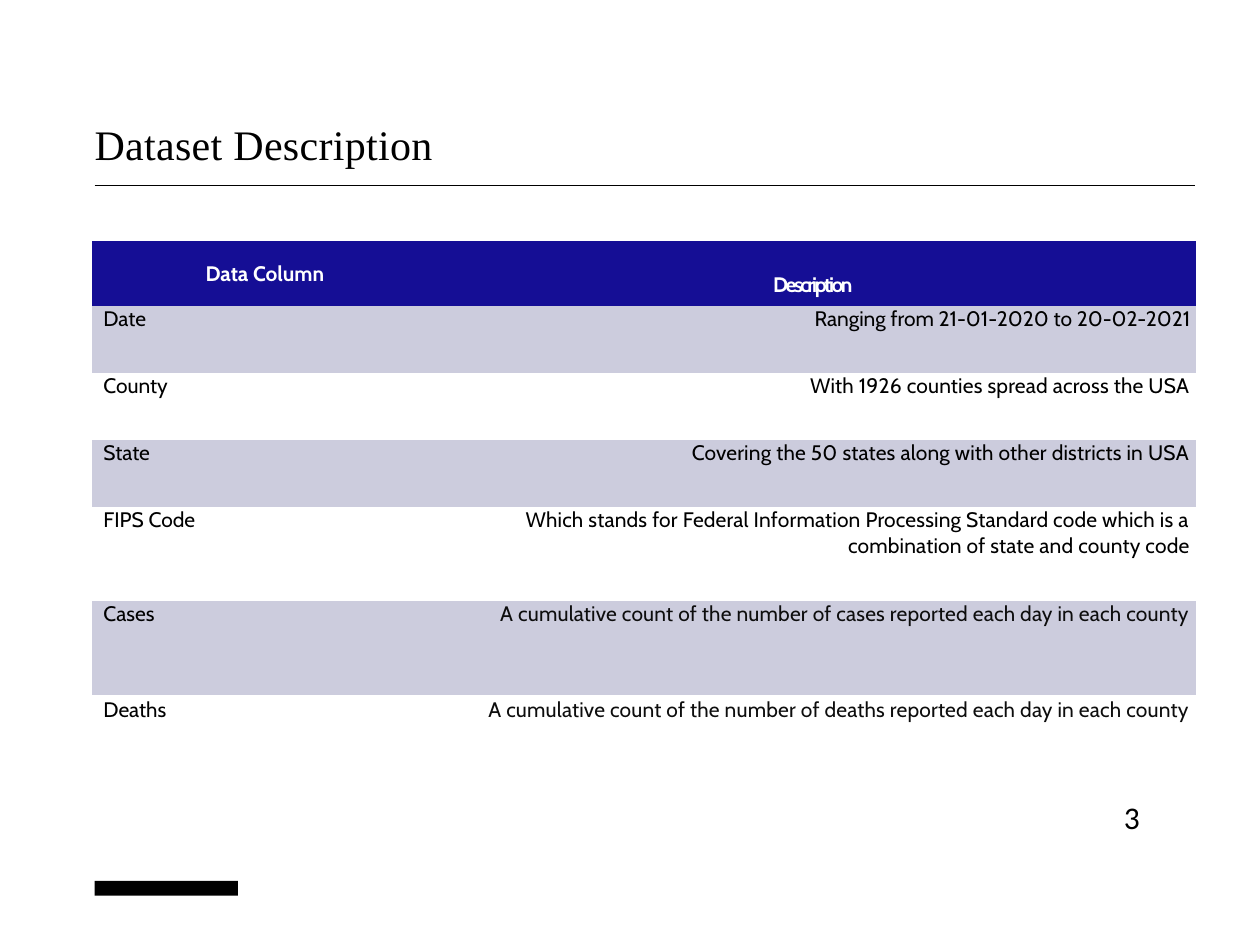
from dataclasses import dataclass, field

from lxml import etree
from pptx import Presentation
from pptx import util as u
from pptx.dml.color import RGBColor
from pptx.enum import shapes, text
from pptx.oxml.ns import qn

COLORS = {"ink": "000000", "soft": "0D0D0D", "white": "FFFFFF",
          "header": "150E95", "band": "CCCCDD"}
NO_STYLE = "{2D5ABB26-0587-4C30-8999-92F81FD0307C}"
LEFT, MIDDLE_ALIGN, RIGHT = (text.PP_ALIGN.LEFT, text.PP_ALIGN.CENTER,
                             text.PP_ALIGN.RIGHT)
TOP, MIDDLE = text.MSO_ANCHOR.TOP, text.MSO_ANCHOR.MIDDLE


@dataclass
class Style:
    font: str
    size: float
    color: str = "ink"
    bold: bool = False
    tracking: int = 0  # hundredths of a point
    align: int = LEFT
    paragraph: dict = field(default_factory=dict)


@dataclass
class Row:
    name: str
    description: str
    height: float
    color: str = "ink"
    paragraph: dict = field(default_factory=lambda: {"space_before": u.Pt(5.9)})


def set_all(target, values: dict) -> None:
    for name, value in values.items():
        setattr(target, name, value)


def margins(left: float = 0, top: float = 0, right: float = 0) -> dict:
    return {"margin_left": u.Pt(left), "margin_top": u.Pt(top),
            "margin_right": u.Pt(right), "margin_bottom": 0}


def write(frame, words: str, style: Style) -> None:
    para = frame.paragraphs[0]
    set_all(para, {"alignment": style.align, **style.paragraph})
    span = para.add_run()
    span.text = words
    set_all(span.font, {"name": style.font, "size": u.Pt(style.size),
                        "bold": style.bold})
    span.font.color.rgb = RGBColor.from_string(COLORS[style.color])
    span.font._element.set("spc", str(style.tracking))


def fill_cell(cell, words: str, style: Style, fill: str | None,
              layout: dict) -> None:
    set_all(cell, layout)
    if fill:
        cell.fill.solid()
        cell.fill.fore_color.rgb = RGBColor.from_string(COLORS[fill])
    else:
        cell.fill.background()
    write(cell.text_frame, words, style)


deck = Presentation()
set_all(deck, {"slide_width": u.Pt(720), "slide_height": u.Pt(540)})
page = deck.slides.add_slide(deck.slide_layouts[5])

# Title
title = page.shapes.title
set_all(title, {"left": u.Pt(53.5), "top": u.Pt(67.7),
                "width": u.Pt(614), "height": u.Pt(31)})
set_all(title.text_frame, {**margins(left=0.5), "word_wrap": True,
                           "vertical_anchor": TOP,
                           "auto_size": text.MSO_AUTO_SIZE.NONE})
write(title.text_frame, "Dataset Description",
      Style("Times New Roman", 24, tracking=20,
            paragraph={"space_before": u.Pt(1)}))

# Rule under the title
rule = page.shapes.add_connector(shapes.MSO_CONNECTOR.STRAIGHT, u.Pt(54),
                                 u.Pt(106), u.Pt(683), u.Pt(106))
rule.line.width = u.Pt(1)
rule.line.color.rgb = RGBColor.from_string(COLORS["ink"])
etree.SubElement(rule._element.spPr, qn("a:effectLst"))

# Table of data columns
ROWS = [
    Row("Date", "Ranging from 21-01-2020 to 20-02-2021", 38.3),
    Row("County", "With 1926 counties spread across the USA", 38.3),
    Row("State", "Covering the 50 states along with other districts in USA",
        38.3),
    Row("FIPS Code", "Which stands for Federal Information Processing Standard "
        "code which is a combination of state and county code", 53.7),
    Row("Cases", "A cumulative count of the number of cases reported each day "
        "in each county", 53.7, "soft"),
    Row("Deaths", "A cumulative count of the number of deaths reported each "
        "day in each county", 52.5, "soft",
        {"space_before": u.Pt(5.9), "line_spacing": u.Pt(16)}),
]
HEADER_HEIGHT = 37.1
WIDTHS = (193.5, 437.5)
heights = [HEADER_HEIGHT] + [row.height for row in ROWS]
holder = page.shapes.add_table(len(heights), len(WIDTHS), u.Pt(52.6),
                               u.Pt(137.8), u.Pt(sum(WIDTHS)),
                               u.Pt(sum(heights)))
table = holder.table
set_all(table, {"first_row": False, "horz_banding": False})
table._tbl.tblPr.find(qn("a:tableStyleId")).text = NO_STYLE
for column, width in zip(table.columns, WIDTHS):
    column.width = u.Pt(width)
for line, height in zip(table.rows, heights):
    line.height = u.Pt(height)

header = {"font": "Cabin", "size": 12, "color": "white", "bold": True,
          "align": MIDDLE_ALIGN}
fill_cell(table.cell(0, 0), "Data Column",
          Style(**header, paragraph={"space_before": u.Pt(3.5)}), "header",
          {**margins(left=7, right=2.9), "vertical_anchor": MIDDLE})
fill_cell(table.cell(0, 1), "Description", Style(**header, tracking=-140),
          "header", {**margins(top=17.5, right=0.7), "vertical_anchor": TOP})

for index, row in enumerate(ROWS, start=1):
    band = "band" if index % 2 else None
    fill_cell(table.cell(index, 0), row.name,
              Style("Cabin", 12, paragraph=row.paragraph), band,
              {**margins(left=6.5, right=5), "vertical_anchor": TOP})
    tracking = 0 if index == 1 else 10
    fill_cell(table.cell(index, 1), row.description,
              Style("Cabin", 12, row.color, tracking=tracking, align=RIGHT,
                    paragraph=row.paragraph), band,
              {**margins(right=3.2 if index == 1 else 3.5),
               "vertical_anchor": TOP})

# Page number
number = page.shapes.add_textbox(u.Pt(642.2), u.Pt(455.8), u.Pt(42), u.Pt(24.5))
set_all(number.text_frame, {**margins(), "word_wrap": True})
write(number.text_frame, "3",
      Style("Calibri", 18, tracking=30, paragraph={"space_before": u.Pt(0.8)}))

# Plain brand bar
bar = page.shapes.add_shape(shapes.MSO_SHAPE.RECTANGLE, u.Pt(54), u.Pt(503.3),
                            u.Pt(82), u.Pt(8.6))
bar.shadow.inherit = False
bar.fill.solid()
bar.fill.fore_color.rgb = RGBColor.from_string(COLORS["ink"])
bar.line.fill.background()

deck.save("out.pptx")
